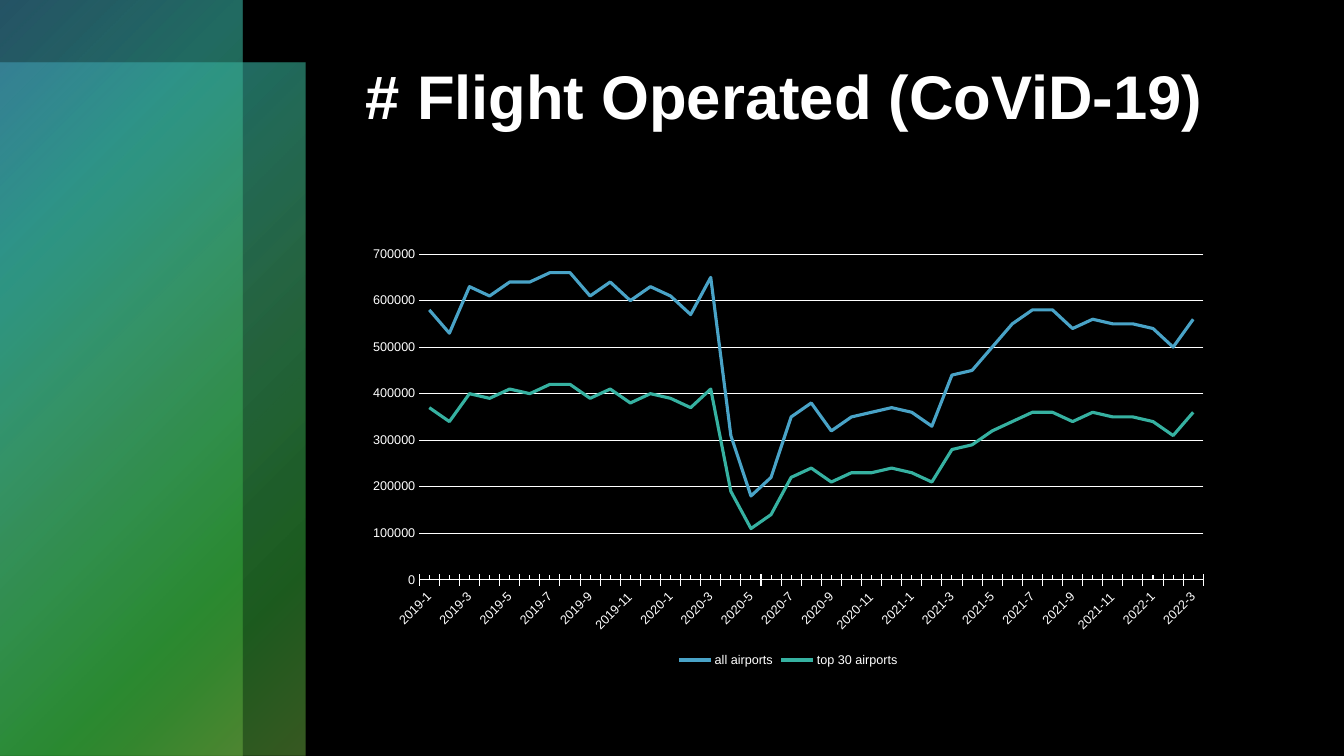
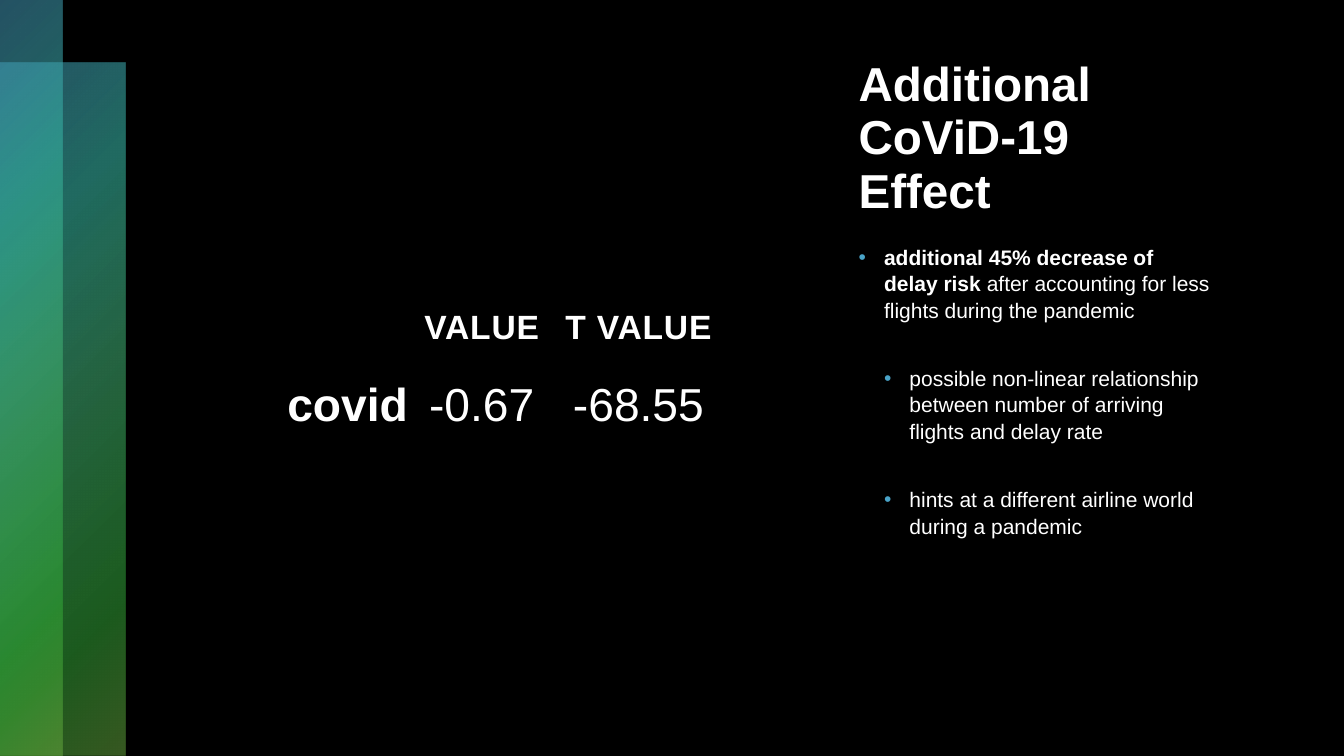
import pptx
import pptx.chart.data
import pptx.dml.color
import pptx.enum.chart
import pptx.enum.shapes
import pptx.enum.text
import pptx.oxml
import pptx.oxml.ns
import pptx.util

Cm = pptx.util.Cm
Pt = pptx.util.Pt
Align = pptx.enum.text.PP_ALIGN
Tick = pptx.enum.chart.XL_TICK_MARK

FONT = "Arial"
COLORS = {
    "back": "000000",
    "text": "FFFFFF",
    "blue": "49A3C7",
    "teal": "36B1A1",
    "mint": "43B577",
    "green": "37B53C",
    "olive": "6CB241",
}
STOPS = [(0, "blue", 50), (25, "teal", 60), (50, "mint", 55), (81, "green", 50), (99, "olive", 50)]
WIDTH, HEIGHT = 33.87, 19.05
STEP = 1.58
NO_STYLE = "{2D5ABB26-0587-4C30-8999-92F81FD0307C}"

MONTHS = [f"{year}-{month}" for year in range(2019, 2023) for month in range(1, 13)][:39]
FLIGHTS = {
    "all airports": ("blue", [
        580, 530, 630, 610, 640, 640, 660, 660, 610, 640, 600, 630,
        610, 570, 650, 310, 180, 220, 350, 380, 320, 350, 360, 370,
        360, 330, 440, 450, 500, 550, 580, 580, 540, 560, 550, 550,
        540, 500, 560]),
    "top 30 airports": ("teal", [
        370, 340, 400, 390, 410, 400, 420, 420, 390, 410, 380, 400,
        390, 370, 410, 190, 110, 140, 220, 240, 210, 230, 230, 240,
        230, 210, 280, 290, 320, 340, 360, 360, 340, 360, 350, 350,
        340, 310, 360]),
}
POINTS = [
    (0, [("additional 45% decrease of delay risk", True),
         (" after accounting for less flights during the pandemic", False)]),
    (1, [("possible non-linear relationship between number of arriving flights and delay rate", False)]),
    (1, [("hints at a different airline world during a pandemic", False)]),
]


def rgb(name):
    return pptx.dml.color.RGBColor.from_string(COLORS[name])


def xml(tag, attrs="", inner=""):
    space = pptx.oxml.ns.nsdecls("a")
    return pptx.oxml.parse_xml(f"<a:{tag} {space} {attrs}>{inner}</a:{tag}>")


class Deck:
    def __init__(self):
        self.show = pptx.Presentation()
        self.show.slide_width = Cm(WIDTH)
        self.show.slide_height = Cm(HEIGHT)
        self.slide = None

    def page(self, wide):
        self.slide = self.show.slides.add_slide(self.show.slide_layouts[6])
        fill = self.slide.background.fill
        fill.solid()
        fill.fore_color.rgb = rgb("back")
        self.band(STEP, wide)
        self.band(0, wide - STEP)

    def band(self, top, width):
        kind = pptx.enum.shapes.MSO_SHAPE.RECTANGLE
        shape = self.slide.shapes.add_shape(kind, 0, Cm(top), Cm(width), Cm(HEIGHT - top))
        shape.shadow.inherit = False
        shape.line.fill.background()
        shape.fill.background()
        stops = "".join(
            f'<a:gs pos="{pos * 1000}"><a:srgbClr val="{COLORS[name]}">'
            f'<a:alpha val="{alpha * 1000}"/></a:srgbClr></a:gs>'
            for pos, name, alpha in STOPS)
        grad = xml("gradFill", 'rotWithShape="1"',
                   f'<a:gsLst>{stops}</a:gsLst><a:path path="circle">'
                   '<a:fillToRect r="100000" b="100000"/></a:path>')
        props = shape._element.spPr
        props.replace(props.find(pptx.oxml.ns.qn("a:noFill")), grad)

    def font(self, font, size, bold=False):
        font.name = FONT
        font.size = Pt(size)
        font.bold = bold
        font.color.rgb = rgb("text")

    def box(self, left, top, width, height):
        frame = self.slide.shapes.add_textbox(Cm(left), Cm(top), Cm(width), Cm(height)).text_frame
        frame.word_wrap = True
        return frame

    def title(self, text, left, width, size):
        frame = self.box(left, 1.27, width, 4.32)
        frame.margin_top = Cm(0.2)
        frame.text = text
        para = frame.paragraphs[0]
        para.line_spacing = 0.94 if size < 40 else 1.0
        self.font(para.runs[0].font, size, True)

    def list(self, items, left, top, width, height):
        frame = self.box(left, top, width, height)
        for index, (level, parts) in enumerate(items):
            para = frame.add_paragraph() if index else frame.paragraphs[0]
            props = para._p.get_or_add_pPr()
            props.set("marL", str(Cm(0.64 * (level + 1))))
            props.set("indent", str(-Cm(0.64)))
            props.append(xml("buClr", inner=f'<a:srgbClr val="{COLORS["blue"]}"/>'))
            props.append(xml("buFont", f'typeface="{FONT}"'))
            props.append(xml("buChar", 'char="•"'))
            para.level = level
            para.line_spacing = 1.05
            if index:
                para.space_before = Pt(30)
            for text, bold in parts:
                run = para.add_run()
                run.text = text
                self.font(run.font, 15, bold)

    def line(self, line, name, width):
        line.color.rgb = rgb(name)
        line.width = Pt(width)

    def chart(self, cats, rows, left, top, width, height):
        data = pptx.chart.data.CategoryChartData(number_format="General")
        data.categories = cats
        for name, (_, values) in rows.items():
            data.add_series(name, [value * 1000 for value in values])
        kind = pptx.enum.chart.XL_CHART_TYPE.LINE
        chart = self.slide.shapes.add_chart(
            kind, Cm(left), Cm(top), Cm(width), Cm(height), data).chart
        chart.has_title = False
        self.font(chart.font, 10)
        chart.has_legend = True
        chart.legend.position = pptx.enum.chart.XL_LEGEND_POSITION.BOTTOM
        chart.legend.include_in_layout = False
        self.font(chart.legend.font, 9)
        chart.plots[0].vary_by_categories = False
        for plot, (color, _) in zip(chart.plots[0].series, rows.values()):
            plot.smooth = False
            plot.marker.style = pptx.enum.chart.XL_MARKER_STYLE.NONE
            self.line(plot.format.line, color, 2.25)
        months, counts = chart.category_axis, chart.value_axis
        for axis in (months, counts):
            self.font(axis.tick_labels.font, 9)
        months.major_tick_mark = Tick.CROSS
        months.minor_tick_mark = Tick.INSIDE
        self.line(months.format.line, "text", 0.75)
        body = months._element.find(".//" + pptx.oxml.ns.qn("a:bodyPr"))
        body.set("rot", "-2700000")
        counts.minimum_scale = 0
        counts.maximum_scale = 700000
        counts.major_unit = 100000
        counts.major_tick_mark = counts.minor_tick_mark = Tick.NONE
        counts.format.line.fill.background()
        counts.has_major_gridlines = True
        self.line(counts.major_gridlines.format.line, "text", 0.75)

    def table(self, rows, left, top, widths, heights):
        frame = self.slide.shapes.add_table(
            len(rows), len(widths), Cm(left), Cm(top), Cm(sum(widths)), Cm(sum(heights)))
        table = frame.table
        table.first_row = table.horz_banding = False
        table._tbl.tblPr.find(pptx.oxml.ns.qn("a:tableStyleId")).text = NO_STYLE
        for column, width in zip(table.columns, widths):
            column.width = Cm(width)
        for row, (texts, height) in enumerate(zip(rows, heights)):
            table.rows[row].height = Cm(height)
            for col, text in enumerate(texts):
                self.cell(table.cell(row, col), text, row == 0, col == 0)

    def cell(self, cell, text, head, first):
        cell.fill.background()
        cell.vertical_anchor = pptx.enum.text.MSO_ANCHOR.BOTTOM
        cell.margin_left = cell.margin_right = Cm(0.08)
        cell.margin_top = Cm(0.56 if head else 0.05)
        cell.margin_bottom = Cm(0.56)
        cell.text_frame.text = text
        para = cell.text_frame.paragraphs[0]
        para.alignment = Align.RIGHT if first else Align.CENTER
        for run in para.runs:
            self.font(run.font, 24 if head else 33, head or first)
            if head:
                run._r.get_or_add_rPr().set("spc", "60")


def main():
    deck = Deck()
    deck.page(7.7)
    deck.title("# Flight Operated (CoViD-19)", 8.97, 21.79, 44)
    deck.chart(MONTHS, FLIGHTS, 8.97, 6, 21.79, 10.92)

    deck.page(2 * STEP)
    deck.title("Additional CoViD-19 Effect", 21.39, 9.37, 34)
    deck.list(POINTS, 21.39, 6, 9.37, 10.9)
    deck.table([["", "VALUE", "T VALUE"], ["covid", "-0.67", "-68.55"]],
               6.63, 7.06, [3.73, 3.56, 4.34], [2.24, 2.13])
    deck.show.save("out.pptx")


if __name__ == "__main__":
    main()
